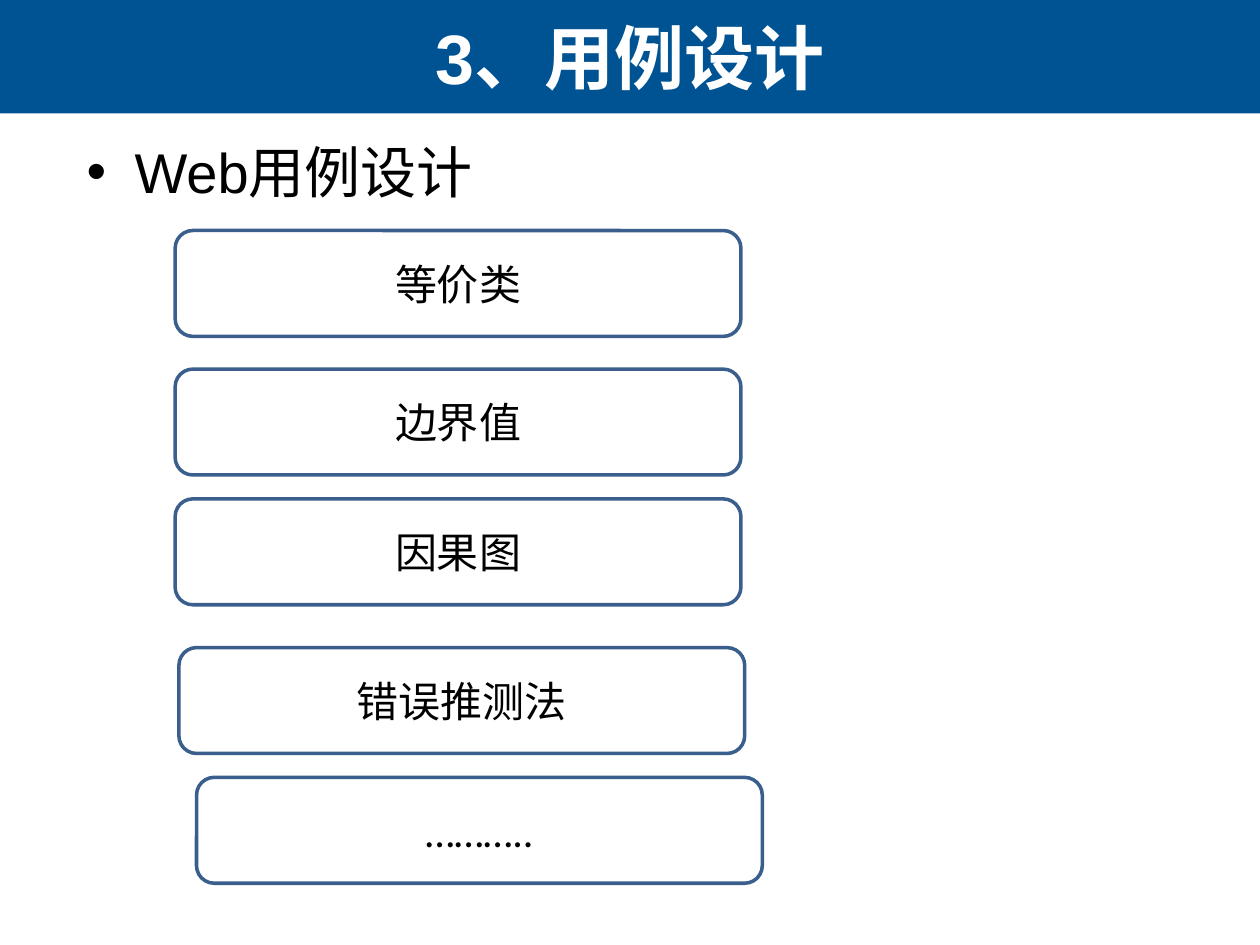
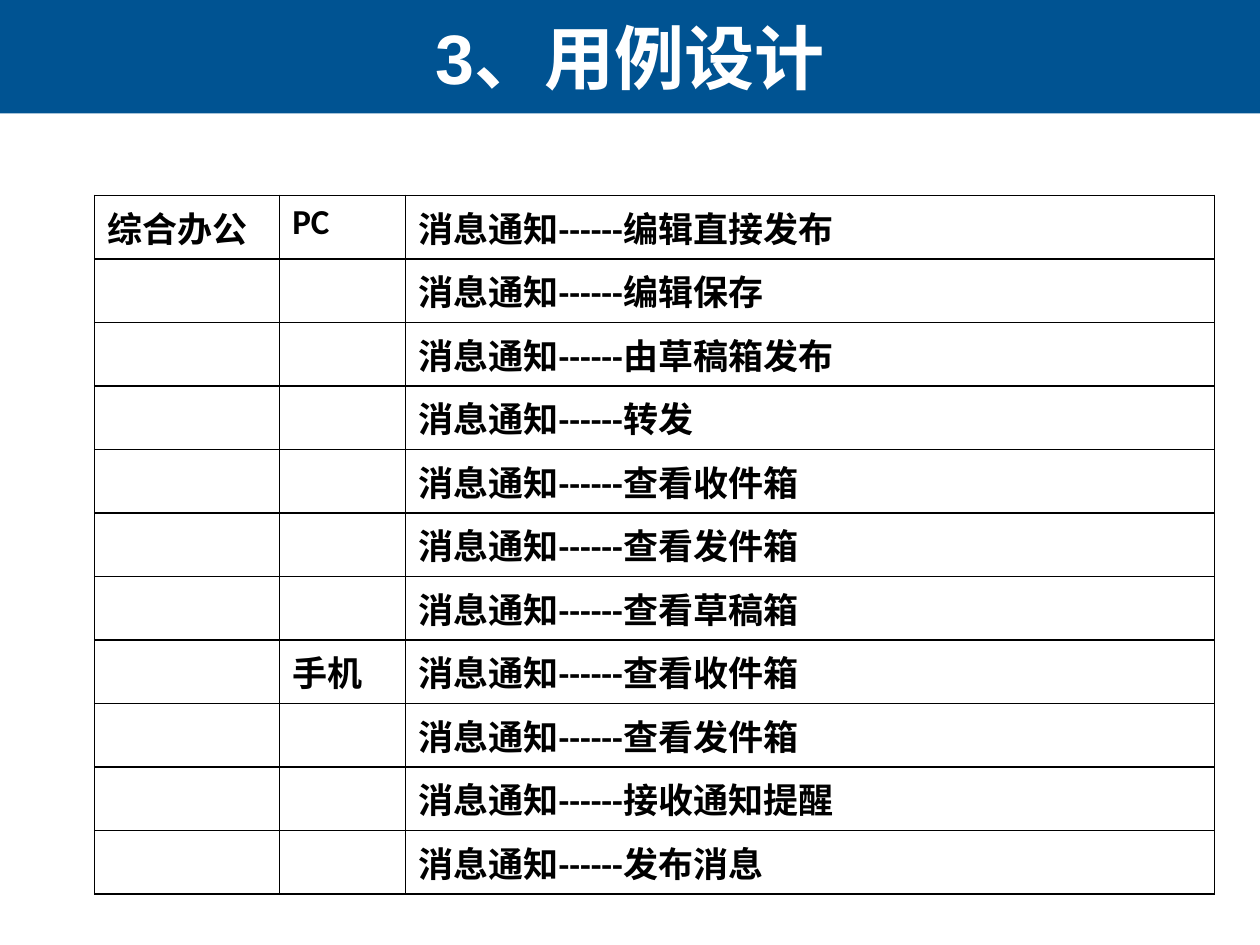
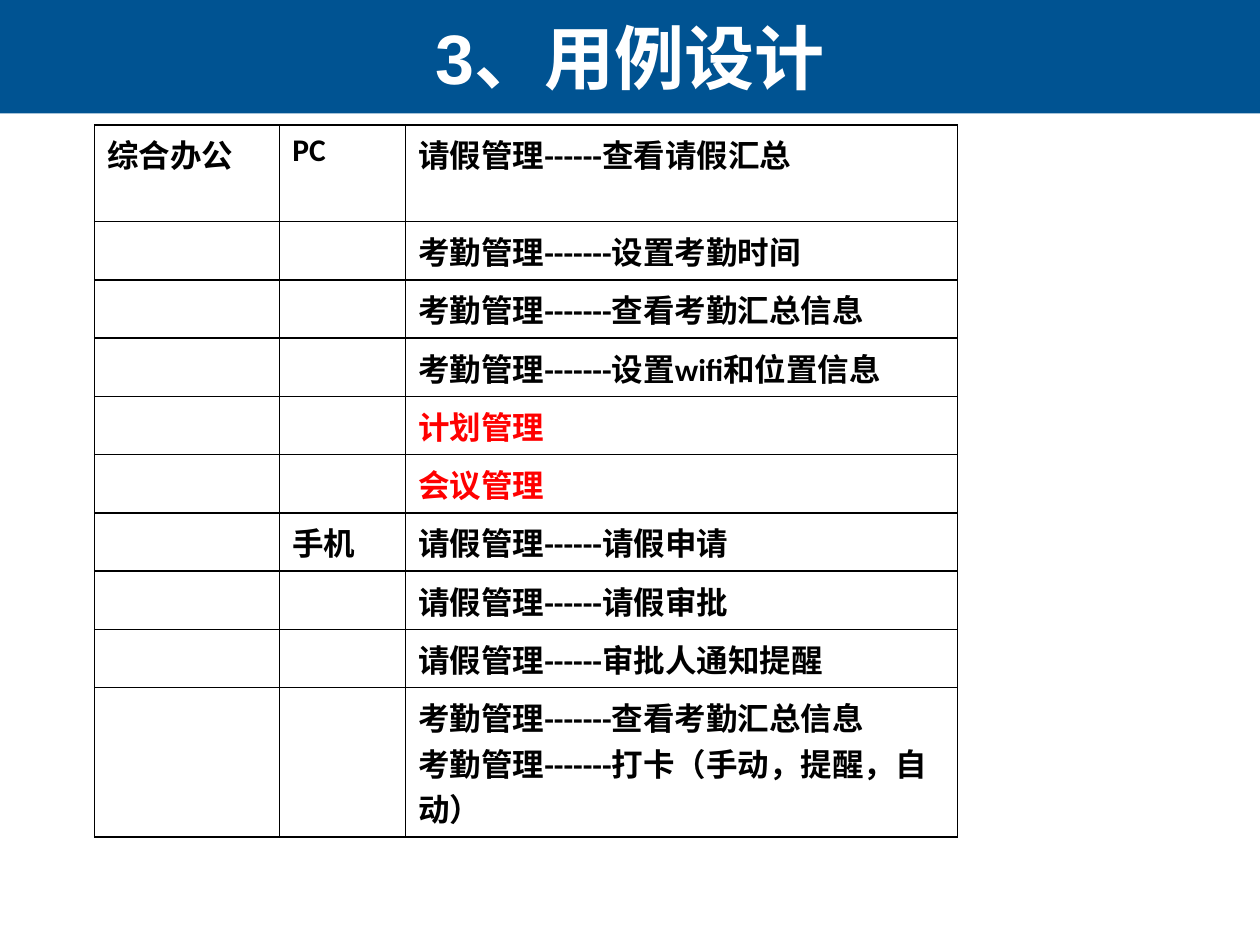
from lxml import etree
from pptx import Presentation
from pptx.dml.color import RGBColor
from pptx.enum.shapes import MSO_SHAPE
from pptx.enum.text import MSO_ANCHOR, PP_ALIGN
from pptx.oxml import parse_xml
from pptx.oxml.ns import nsdecls, qn
from pptx.util import Inches, Pt

RECT, ROUND = MSO_SHAPE.RECTANGLE, MSO_SHAPE.ROUNDED_RECTANGLE
CENTER, LEFT = PP_ALIGN.CENTER, PP_ALIGN.LEFT
MIDDLE = MSO_ANCHOR.MIDDLE

BLUE, OUTLINE, BLACK, WHITE, RED = "005392", "3A5F8C", "000000", "FFFFFF", "FF0000"
HEAD_FONT, BODY_FONT = "Arial", "Calibri"
COLS, ROWS = 100, 75  # slide grid
TITLE = "3、用例设计"
BAND_ROWS = 9


def rgb(value):
    return RGBColor.from_string(value)


class Deck:
    def __init__(self):
        self.prs = Presentation()
        self.prs.slide_width, self.prs.slide_height = Inches(10), Inches(7.5)
        self.slide = None

    def x(self, cols):
        return int(self.prs.slide_width * cols / COLS)

    def y(self, rows):
        return int(self.prs.slide_height * rows / ROWS)

    def place(self, left, top, width, height):
        return self.x(left), self.y(top), self.x(width), self.y(height)

    def style(self, tf, size, font, color=BLACK, bold=False, align=LEFT):
        for p in tf.paragraphs:
            p.alignment = align
            for r in p.runs:
                r.font.size, r.font.name, r.font.bold = Pt(size), font, bold
                r.font.color.rgb = rgb(color)

    def new_slide(self):
        """Start a slide with the blue band behind its title."""
        self.slide = self.prs.slides.add_slide(self.prs.slide_layouts[5])
        band = self.slide.shapes.add_shape(RECT, *self.place(0, 0, COLS, BAND_ROWS))
        band.shadow.inherit = False
        band.fill.solid()
        band.fill.fore_color.rgb = rgb(BLUE)
        band.line.fill.background()

        title = self.slide.shapes.title
        band.element.addnext(title.element)
        title.left, title.top, title.width, title.height = self.place(0, 0, COLS, BAND_ROWS)
        tf = title.text_frame
        tf.text = TITLE
        tf.vertical_anchor = MIDDLE
        self.style(tf, 40, HEAD_FONT, WHITE, True, CENTER)

    def bullet(self, text, left, top, width, height):
        tf = self.slide.shapes.add_textbox(*self.place(left, top, width, height)).text_frame
        tf.word_wrap = True
        tf.text = text
        pPr = tf.paragraphs[0]._p.get_or_add_pPr()
        indent = Inches(0.38)
        pPr.set("marL", str(indent))
        pPr.set("indent", str(-indent))
        etree.SubElement(pPr, qn("a:buFont"), typeface=HEAD_FONT)
        etree.SubElement(pPr, qn("a:buChar"), char="•")
        self.style(tf, 32, HEAD_FONT)

    def box(self, text, left, top, width, height):
        sp = self.slide.shapes.add_shape(ROUND, *self.place(left, top, width, height))
        sp.shadow.inherit = False
        sp.fill.background()
        sp.line.color.rgb = rgb(OUTLINE)
        sp.line.width = Pt(2)
        tf = sp.text_frame
        tf.text = text
        tf.vertical_anchor = MIDDLE
        self.style(tf, 24, BODY_FONT, align=CENTER)

    def cell(self, cell, text, size, color):
        tcPr = cell._tc.get_or_add_tcPr()
        for side in "LRTB":
            tcPr.append(parse_xml(
                f'<a:ln{side} {nsdecls("a")} w="{Pt(1)}"><a:solidFill>'
                f'<a:srgbClr val="{BLACK}"/></a:solidFill></a:ln{side}>'))
        cell.fill.solid()
        cell.fill.fore_color.rgb = rgb(WHITE)
        cell.text_frame.text = text
        self.style(cell.text_frame, size, BODY_FONT, color, True)

    def case_table(self, module, groups, left, top, widths, heights, size, red=()):
        """List the cases of each platform; name module and platform once."""
        rows = [("", platform if i == 0 else "", case)
                for platform, cases in groups for i, case in enumerate(cases)]
        rows[0] = (module, *rows[0][1:])
        frame = self.slide.shapes.add_table(
            len(rows), len(widths), *self.place(left, top, sum(widths), sum(heights)))
        table = frame.table
        table.first_row = table.horz_banding = False
        for column, width in zip(table.columns, widths):
            column.width = self.x(width)
        for row, height, texts in zip(table.rows, heights, rows):
            row.height = self.y(height)
            for cell, text in zip(row.cells, texts):
                self.cell(cell, text, size, RED if text in red else BLACK)


def main():
    deck = Deck()

    # Design methods
    deck.new_slide()
    deck.bullet("Web用例设计", 5.9, 10.4, 90, 49.5)
    methods = [("等价类", 13.9, 18.3), ("边界值", 13.9, 29.3), ("因果图", 13.9, 39.6),
               ("错误推测法", 14.2, 51.4), ("………..", 15.6, 61.7)]
    for text, left, top in methods:
        deck.box(text, left, top, 44.9, 8.4)

    # Message notice cases
    deck.new_slide()
    pc = ["编辑直接发布", "编辑保存", "由草稿箱发布", "转发", "查看收件箱", "查看发件箱", "查看草稿箱"]
    phone = ["查看收件箱", "查看发件箱", "接收通知提醒", "发布消息"]
    groups = [(platform, [f"消息通知------{name}" for name in names])
              for platform, names in (("PC", pc), ("手机", phone))]
    deck.case_table("综合办公", groups, 7.5, 15.5, [14.7, 10, 64.2], [5.04] * 11, 20)

    # Leave and attendance cases
    deck.new_slide()
    plans = ["计划管理", "会议管理"]
    summary = "考勤管理-------查看考勤汇总信息"
    groups = [
        ("PC", ["请假管理------查看请假汇总", "考勤管理-------设置考勤时间", summary,
                "考勤管理-------设置wifi和位置信息", *plans]),
        ("手机", ["请假管理------请假申请", "请假管理------请假审批", "请假管理------审批人通知提醒",
                f"{summary}\n考勤管理-------打卡（手动，提醒，自动）"]),
    ]
    deck.case_table("综合办公", groups, 7.5, 9.9, [14.7, 10, 43.8],
                    [7.7, *[4.62] * 8, 11.8], 18, plans)

    deck.prs.save("out.pptx")


if __name__ == "__main__":
    main()
